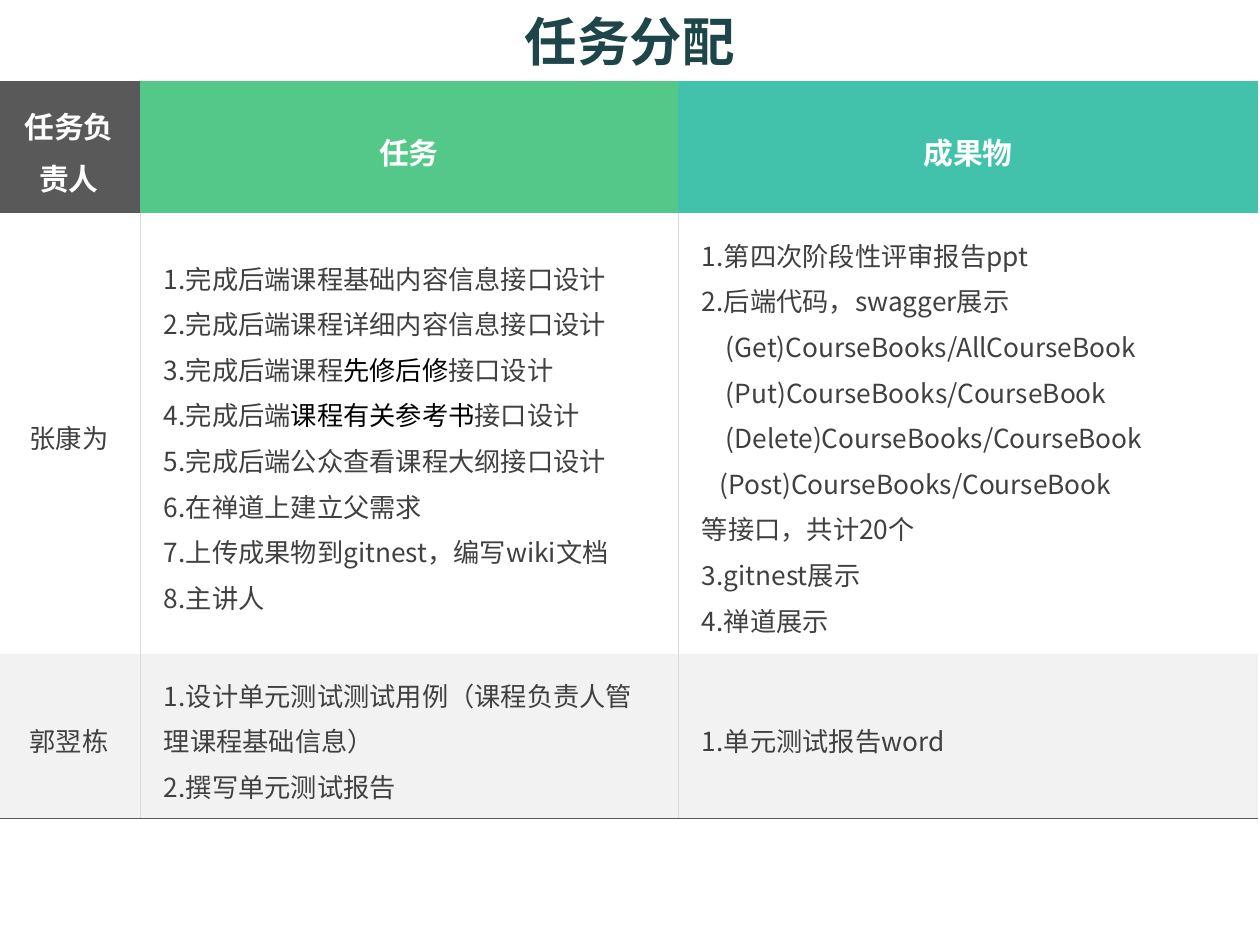
from lxml.etree import SubElement
from pptx import Presentation
from pptx.dml.color import RGBColor
from pptx.enum.text import MSO_ANCHOR, MSO_AUTO_SIZE, PP_ALIGN
from pptx.oxml.ns import qn
from pptx.util import Emu, Pt

PX = 914400 // 126
FONT = "Noto Sans CJK SC"
NO_GRID = "{2D5ABB26-0587-4C30-8999-92F81FD0307C}"
COLORS = {
    "title": "1E4649", "white": "FFFFFF", "text": "404040", "accent": "000000",
    "grey": "595959", "green": "54C888", "teal": "42C2AA",
    "band": "F2F2F2", "rule": "D9D9D9",
}

COLUMNS = [142, 538, 580]
ROWS = [132, 441, 165]
HEADER = [("任务负责人", "grey"), ("任务", "green"), ("成果物", "teal")]

# Each line is (text, indent in px); text between bars is accented
TASKS = [
    "1.完成后端课程基础内容信息接口设计",
    "2.完成后端课程详细内容信息接口设计",
    "3.完成后端课程|先修后修|接口设计",
    "4.完成后端|课程有关参考书|接口设计",
    "5.完成后端公众查看课程大纲接口设计",
    "6.在禅道上建立父需求",
    "7.上传成果物到gitnest，编写wiki文档",
    "8.主讲人",
]
RESULTS = [
    "1.第四次阶段性评审报告ppt",
    "2.后端代码，swagger展示",
    ("(Get)CourseBooks/AllCourseBook", 24),
    ("(Put)CourseBooks/CourseBook", 24),
    ("(Delete)CourseBooks/CourseBook", 24),
    ("(Post)CourseBooks/CourseBook", 18),
    "等接口，共计20个",
    "3.gitnest展示",
    "4.禅道展示",
]
BODY = [
    (["张康为"], TASKS, RESULTS),
    (["郭翌栋"],
     ["1.设计单元测试测试用例（课程负责人管理课程基础信息）", "2.撰写单元测试报告"],
     ["1.单元测试报告word"]),
]


def px(n):
    return Emu(n * PX)


def rgb(name):
    return RGBColor.from_string(COLORS[name])


class Deck:
    def __init__(self):
        self.prs = Presentation()
        self.prs.slide_width, self.prs.slide_height = px(1260), px(945)
        self.s = self.prs.slides.add_slide(self.prs.slide_layouts[5])

    def style(self, p, size, color, bold=False, align=PP_ALIGN.LEFT):
        p.alignment = align
        f = p.font
        f.size, f.bold, f.name = Pt(size), bold, FONT
        f.color.rgb = rgb(color)
        SubElement(p._p.pPr.find(qn("a:defRPr")), qn("a:ea"), typeface=FONT)

    def title(self, text, x, y, w, h):
        sp = self.s.shapes.title
        sp.left, sp.top, sp.width, sp.height = map(px, (x, y, w, h))
        tf = sp.text_frame
        tf.text = text
        tf.auto_size, tf.word_wrap = MSO_AUTO_SIZE.NONE, True
        tf.vertical_anchor = MSO_ANCHOR.MIDDLE
        self.style(tf.paragraphs[0], 30, "title", True, PP_ALIGN.CENTER)

    def table(self, x, y, cols, rows):
        frame = self.s.shapes.add_table(len(rows), len(cols), px(x), px(y),
                                        px(sum(cols)), px(sum(rows)))
        table = frame.table
        table.horz_banding = False
        table._tbl.tblPr.find(qn("a:tableStyleId")).text = NO_GRID
        for column, w in zip(table.columns, cols):
            column.width = px(w)
        for row, h in zip(table.rows, rows):
            row.height = px(h)
        return table

    def border(self, cell, side, color, width):
        ln = SubElement(cell._tc.get_or_add_tcPr(), qn("a:ln" + side),
                        w=str(Pt(width)))
        fill = SubElement(ln, qn("a:solidFill"))
        SubElement(fill, qn("a:srgbClr"), val=COLORS[color])

    def cell(self, cell, lines, fill, borders=(), **style):
        for border in borders:
            self.border(cell, *border)
        cell.fill.solid()
        cell.fill.fore_color.rgb = rgb(fill)
        cell.vertical_anchor = MSO_ANCHOR.MIDDLE
        cell.margin_left = cell.margin_right = px(24)
        cell.margin_top = cell.margin_bottom = px(6)
        tf = cell.text_frame
        for i, line in enumerate(lines):
            text, indent = (line, 0) if isinstance(line, str) else line
            p = tf.add_paragraph() if i else tf.paragraphs[0]
            p.line_spacing = 1.2
            if indent:
                p._p.get_or_add_pPr().set("marL", str(px(indent)))
            self.style(p, **style)
            for j, part in enumerate(text.split("|")):
                r = p.add_run()
                r.text = part
                if j % 2:
                    r.font.color.rgb = rgb("accent")


def main():
    deck = Deck()
    table = deck.table(-2, 81, COLUMNS, ROWS)

    # Header row
    for c, (text, fill) in enumerate(HEADER):
        deck.cell(table.cell(0, c), [text], fill, size=17, color="white",
                  bold=True, align=PP_ALIGN.CENTER)

    # Body rows: thin rules between columns, dark rule under the last row
    dividers = [0.45, 0.23]
    for r, row in enumerate(BODY, 1):
        last = r == len(BODY)
        for c, lines in enumerate(row):
            borders = []
            if c:
                borders.append(("L", "rule", dividers[c - 1]))
            if c < len(dividers):
                borders.append(("R", "rule", dividers[c]))
            if last:
                borders.append(("B", "grey", 0.75))
            deck.cell(table.cell(r, c), lines, "band" if last else "white",
                      borders, size=15, color="text",
                      align=PP_ALIGN.LEFT if c else PP_ALIGN.CENTER)

    # Title
    deck.title("任务分配", 63, 0, 1134, 82)
    deck.prs.save("out.pptx")


if __name__ == "__main__":
    main()
